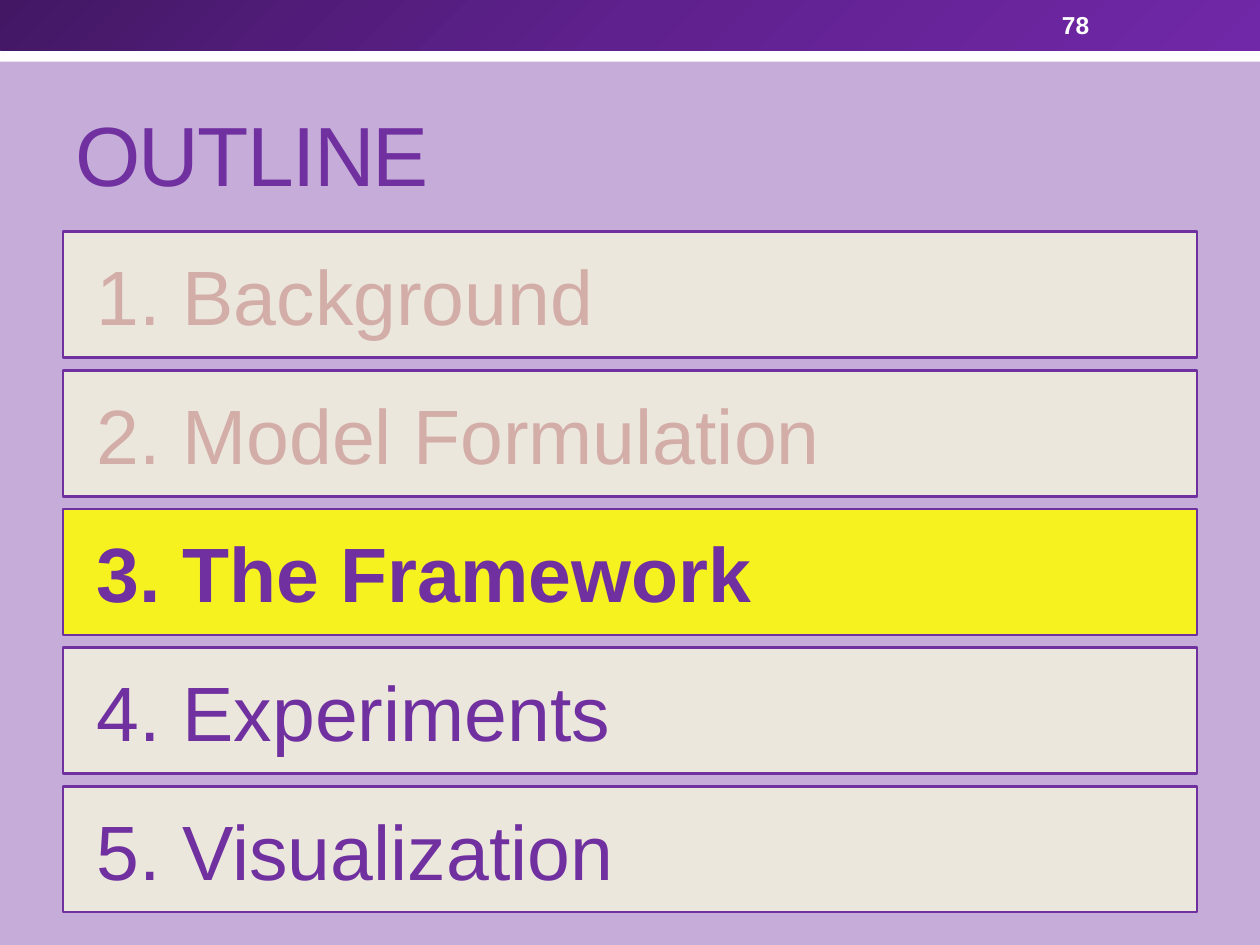
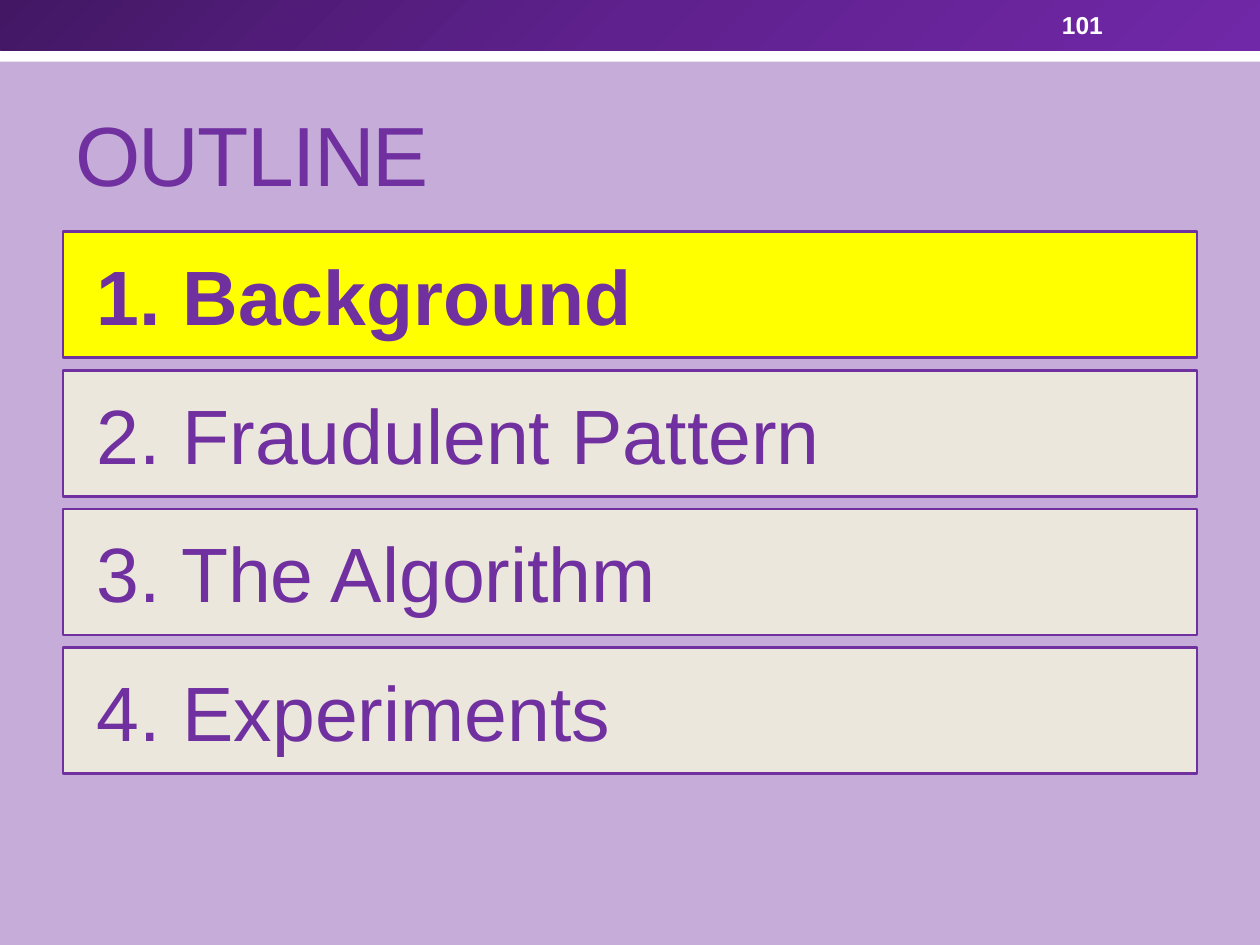
from copy import deepcopy
from dataclasses import dataclass

from pptx import Presentation
from pptx.dml.color import RGBColor
from pptx.enum.shapes import MSO_SHAPE
from pptx.enum.text import MSO_ANCHOR, PP_ALIGN
from pptx.oxml import parse_xml
from pptx.oxml.ns import nsdecls, qn
from pptx.util import Inches, Pt

RECTANGLE = MSO_SHAPE.RECTANGLE
LEFT = PP_ALIGN.LEFT
MIDDLE, BOTTOM = MSO_ANCHOR.MIDDLE, MSO_ANCHOR.BOTTOM

PURPLE = RGBColor(0x70, 0x30, 0xA0)
LILAC = RGBColor(0xC6, 0xAC, 0xD9)
CREAM = RGBColor(0xF3, 0xF2, 0xDE)
YELLOW = RGBColor(0xFF, 0xFF, 0x00)
FADED = RGBColor(0xD3, 0xAE, 0xA8)
WHITE = RGBColor(0xFF, 0xFF, 0xFF)
BAND_STOPS = (
    (0, RGBColor(0x43, 0x17, 0x64)),
    (0.5, RGBColor(0x5F, 0x21, 0x8E)),
    (1, RGBColor(0x71, 0x28, 0xA8)),
)

FONT = "Arial"
TITLE_FORMAT = {"name": FONT, "size": Pt(48)}
ITEM_FORMAT = {"name": FONT, "size": Pt(44)}
NUMBER_FORMAT = {"name": FONT, "size": Pt(14), "bold": True}

SLIDE_WIDTH = 10
MARGIN = 0.5
ITEM_WIDTH = SLIDE_WIDTH - 2 * MARGIN
ITEM_TOP, ITEM_HEIGHT, ITEM_STEP = 1.84, 1, 1.1
ITEM_INDENT = 0.27
ITEM_OPACITY = 85


@dataclass(frozen=True)
class ItemStyle:
    fill: RGBColor
    color: RGBColor
    bold: bool = False
    opacity: int = ITEM_OPACITY


DONE = ItemStyle(CREAM, FADED)
UPCOMING = ItemStyle(CREAM, PURPLE)
CURRENT = ItemStyle(YELLOW, PURPLE, bold=True)
CURRENT_SOLID = ItemStyle(YELLOW, PURPLE, bold=True, opacity=100)


@dataclass(frozen=True)
class Outline:
    number: int
    items: tuple[tuple[str, ItemStyle], ...]


OUTLINES = (
    Outline(78, (
        ("Background", DONE),
        ("Model Formulation", DONE),
        ("The Framework", CURRENT),
        ("Experiments", UPCOMING),
        ("Visualization", UPCOMING),
    )),
    Outline(101, (
        ("Background", CURRENT_SOLID),
        ("Fraudulent Pattern", UPCOMING),
        ("The Algorithm", UPCOMING),
        ("Experiments", UPCOMING),
    )),
)


def write_text(box, text: str, color: RGBColor, formats: dict, anchor=MIDDLE):
    """Write one left-aligned line and return its run."""
    frame = box.text_frame
    frame.word_wrap = True
    frame.vertical_anchor = anchor
    para = frame.paragraphs[0]
    para.alignment = LEFT
    span = para.add_run()
    span.text = text
    for name, value in formats.items():
        setattr(span.font, name, value)
    span.font.color.rgb = color
    return span


def add_rectangle(page, left: float, top: float, width: float, height: float):
    box = page.shapes.add_shape(
        RECTANGLE, Inches(left), Inches(top), Inches(width), Inches(height))
    box.shadow.inherit = False
    box.line.fill.background()
    return box


def add_textbox(page, left: float, top: float, width: float, height: float):
    return page.shapes.add_textbox(
        Inches(left), Inches(top), Inches(width), Inches(height))


def fill_solid(box, color: RGBColor, opacity: int = 100) -> None:
    box.fill.solid()
    box.fill.fore_color.rgb = color
    if opacity < 100:
        tint = box._element.spPr.find(qn("a:solidFill"))[0]
        tint.append(parse_xml(f'<a:alpha {nsdecls("a")} val="{opacity * 1000}"/>'))


def fill_band(band) -> None:
    """Diagonal gradient from top left to bottom right."""
    band.fill.gradient()
    band.fill.gradient_angle = 315
    stop_list = band._element.spPr.find(qn("a:gradFill")).find(qn("a:gsLst"))
    stop_list.append(deepcopy(stop_list[0]))
    for stop, (position, color) in zip(band.fill.gradient_stops, BAND_STOPS):
        stop.position = position
        stop.color.rgb = color


def add_frame(page, number: int) -> None:
    """Background, top bands, title and slide number."""
    page.background.fill.solid()
    page.background.fill.fore_color.rgb = LILAC
    fill_solid(add_rectangle(page, 0, 0.24, SLIDE_WIDTH, 0.25), WHITE)
    fill_band(add_rectangle(page, 0, 0, SLIDE_WIDTH, 0.4))

    title = add_textbox(page, MARGIN, 0.58, ITEM_WIDTH, 1.08)
    span = write_text(title, "OUTLINE", PURPLE, TITLE_FORMAT, BOTTOM)
    span.font._element.set("spc", "-100")

    number_box = add_textbox(page, 8.33, 0.02, 1.17, 0.36)
    write_text(number_box, str(number), WHITE, NUMBER_FORMAT)


def add_item(page, index: int, text: str, style: ItemStyle) -> None:
    top = ITEM_TOP + index * ITEM_STEP
    box = add_rectangle(page, MARGIN, top, ITEM_WIDTH, ITEM_HEIGHT)
    fill_solid(box, style.fill, style.opacity)
    box.line.color.rgb = PURPLE
    box.line.width = Pt(1.5)
    box.text_frame.margin_left = Inches(ITEM_INDENT)
    write_text(box, f"{index + 1}. {text}", style.color,
               ITEM_FORMAT | {"bold": style.bold})


def main() -> None:
    deck = Presentation()
    deck.slide_width = Inches(SLIDE_WIDTH)
    deck.slide_height = Inches(7.5)
    blank = deck.slide_layouts[6]
    for outline in OUTLINES:
        page = deck.slides.add_slide(blank)
        add_frame(page, outline.number)
        for index, (text, style) in enumerate(outline.items):
            add_item(page, index, text, style)
    deck.save("out.pptx")


if __name__ == "__main__":
    main()
